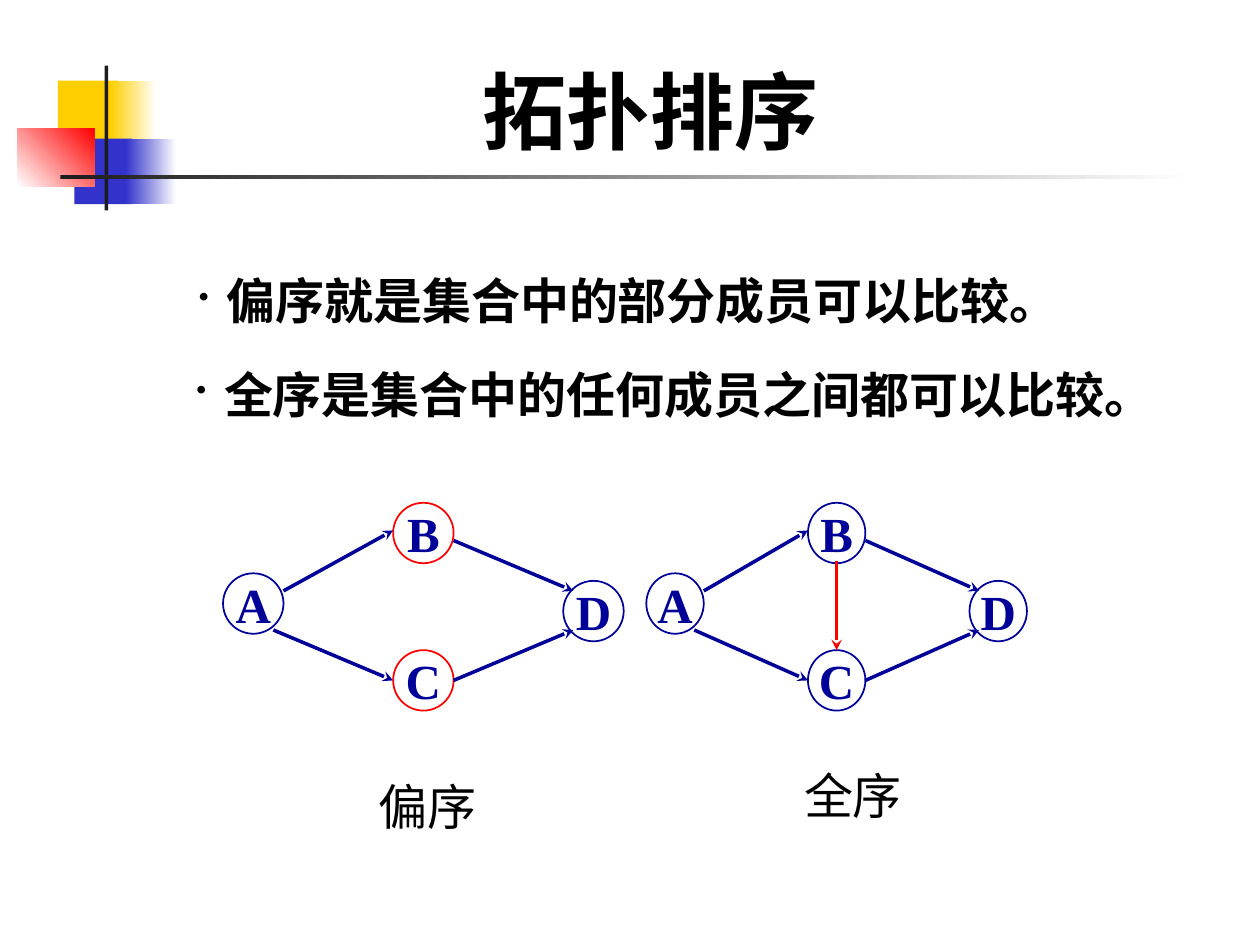
from typing import NamedTuple

from lxml.etree import SubElement
from pptx import Presentation
from pptx.dml.color import RGBColor
from pptx.enum.shapes import MSO_CONNECTOR as Connector, MSO_SHAPE as Shape
from pptx.enum.text import MSO_ANCHOR as Anchor, PP_ALIGN as Align
from pptx.oxml.ns import qn
from pptx.util import Inches, Pt

SERIF, SANS = "Times New Roman", "Lato"
BLACK, WHITE, CHARCOAL = "000000", "FFFFFF", "1C1C1C"
NAVY, RED, YELLOW, BLUE = "000099", "FF0000", "FFCF01", "3333CC"
NODE_SIZE = 0.48


class Block(NamedTuple):
    left: float
    top: float
    width: float
    height: float
    color: str
    end_color: str | None = None
    angle: float = 0


class Node(NamedTuple):
    label: str
    x: float
    top: float


class Edge(NamedTuple):
    start: tuple[float, float]
    end: tuple[float, float]
    color: str = NAVY


class Graph(NamedTuple):
    left: float
    x_scale: float
    edges: list[Edge]
    red_nodes: str = ""


class Label(NamedTuple):
    text: str
    left: float
    top: float
    width: float
    height: float = 0.57
    size: int = 28
    font: str = SERIF
    bold: bool = True
    bullet: bool = False


DECORATION = [
    Block(0.46, 0.64, 0.48, 0.52, YELLOW),
    Block(0.88, 0.64, 0.36, 0.52, YELLOW, WHITE),
    Block(0.59, 1.1, 0.46, 0.52, BLUE),
    Block(1, 1.1, 0.4, 0.52, BLUE, WHITE),
    Block(0.14, 1.02, 0.61, 0.46, WHITE, RED, 45),
    Block(0.83, 0.52, 0.03, 1.15, CHARCOAL),
    Block(0.48, 1.39, 9, 0.03, CHARCOAL, WHITE),
]

# Node and edge x positions count from the left side of node A.
NODES = [Node("B", 1.35, 3.99), Node("D", 2.7, 4.61),
         Node("A", 0, 4.55), Node("C", 1.35, 5.16)]
SHARED_EDGES = [
    Edge((0.48, 4.69), (1.35, 4.21)),
    Edge((0.4, 5), (1.35, 5.4)),
    Edge((1.83, 4.29), (2.78, 4.69)),
    Edge((1.83, 5.4), (2.78, 5)),
]
B_TO_C = Edge((1.59, 4.45), (1.59, 5.16), RED)
PARTIAL_ORDER = Graph(1.77, 1, SHARED_EDGES, red_nodes="BC")
TOTAL_ORDER = Graph(5.13, 0.95, SHARED_EDGES + [B_TO_C])

LABELS = [
    Label("拓扑排序", 1.3, 0.42, 7.72, 0.9, size=48),
    Label("偏序就是集合中的部分成员可以比较。", 1.48, 2.1, 7.97, bullet=True),
    Label("全序是集合中的任何成员之间都可以比较。", 1.46, 2.84, 7.97, bullet=True),
    Label("偏序", 2.01, 6.11, 2.76, font=SANS, bold=False),
    Label("全序", 5.39, 6.03, 2.76, font=SANS, bold=False),
]


def rgb(color: str) -> RGBColor:
    return RGBColor.from_string(color)


def draw_block(shapes, block: Block) -> None:
    rect = shapes.add_shape(Shape.RECTANGLE, *map(Inches, block[:4]))
    rect.shadow.inherit = False
    rect.line.fill.background()
    if block.end_color is None:
        rect.fill.solid()
        rect.fill.fore_color.rgb = rgb(block.color)
        return
    rect.fill.gradient()
    rect.fill.gradient_angle = block.angle
    for stop, color in zip(rect.fill.gradient_stops, (block.color, block.end_color)):
        stop.color.rgb = rgb(color)


def style(paragraph, size: int, font: str, color: str, bold: bool) -> None:
    paragraph.font.size = Pt(size)
    paragraph.font.name = font
    paragraph.font.bold = bold
    paragraph.font.color.rgb = rgb(color)


def draw_node(shapes, node: Node, graph: Graph) -> None:
    circle = shapes.add_shape(
        Shape.OVAL, Inches(graph.left + node.x * graph.x_scale), Inches(node.top),
        Inches(NODE_SIZE * graph.x_scale), Inches(NODE_SIZE))
    circle.shadow.inherit = False
    circle.fill.background()
    circle.line.width = Pt(1)
    circle.line.color.rgb = rgb(RED if node.label in graph.red_nodes else NAVY)
    frame = circle.text_frame
    frame.word_wrap = False
    frame.vertical_anchor = Anchor.MIDDLE
    paragraph = frame.paragraphs[0]
    paragraph.text = node.label
    paragraph.alignment = Align.CENTER
    style(paragraph, 28, SERIF, NAVY, True)


def draw_edge(shapes, edge: Edge, graph: Graph) -> None:
    ends = [Inches(value) for x, y in (edge.start, edge.end)
            for value in (graph.left + x * graph.x_scale, y)]
    arrow = shapes.add_connector(Connector.STRAIGHT, *ends)
    arrow.line.width = Pt(2)
    arrow.line.color.rgb = rgb(edge.color)
    SubElement(arrow.line._get_or_add_ln(), qn("a:tailEnd"), type="stealth")
    SubElement(arrow._element.spPr, qn("a:effectLst"))


def draw_graph(shapes, graph: Graph) -> None:
    members = shapes.add_group_shape().shapes
    for node in NODES:
        draw_node(members, node, graph)
    for edge in graph.edges:
        draw_edge(members, edge, graph)


def add_bullet(paragraph) -> None:
    """Give the paragraph a small black bullet with a hanging indent."""
    properties = paragraph._p.get_or_add_pPr()
    properties.set("marL", str(Inches(0.22)))
    properties.set("indent", str(-Inches(0.22)))
    SubElement(SubElement(properties, qn("a:buClr")), qn("a:srgbClr"), val=BLACK)
    SubElement(properties, qn("a:buSzPct"), val="60000")
    SubElement(properties, qn("a:buChar"), char="•")


def draw_label(shapes, label: Label) -> None:
    frame = shapes.add_textbox(*map(Inches, label[1:5])).text_frame
    frame.word_wrap = True
    paragraph = frame.paragraphs[0]
    paragraph.text = label.text
    if label.bullet:
        add_bullet(paragraph)
    else:
        paragraph.alignment = Align.CENTER
    style(paragraph, label.size, label.font, BLACK, label.bold)


def main() -> None:
    deck = Presentation()
    deck.slide_width, deck.slide_height = Inches(10), Inches(7.5)
    shapes = deck.slides.add_slide(deck.slide_layouts[6]).shapes
    for block in DECORATION:
        draw_block(shapes, block)
    for graph in (PARTIAL_ORDER, TOTAL_ORDER):
        draw_graph(shapes, graph)
    for label in LABELS:
        draw_label(shapes, label)
    deck.save("out.pptx")


if __name__ == "__main__":
    main()
